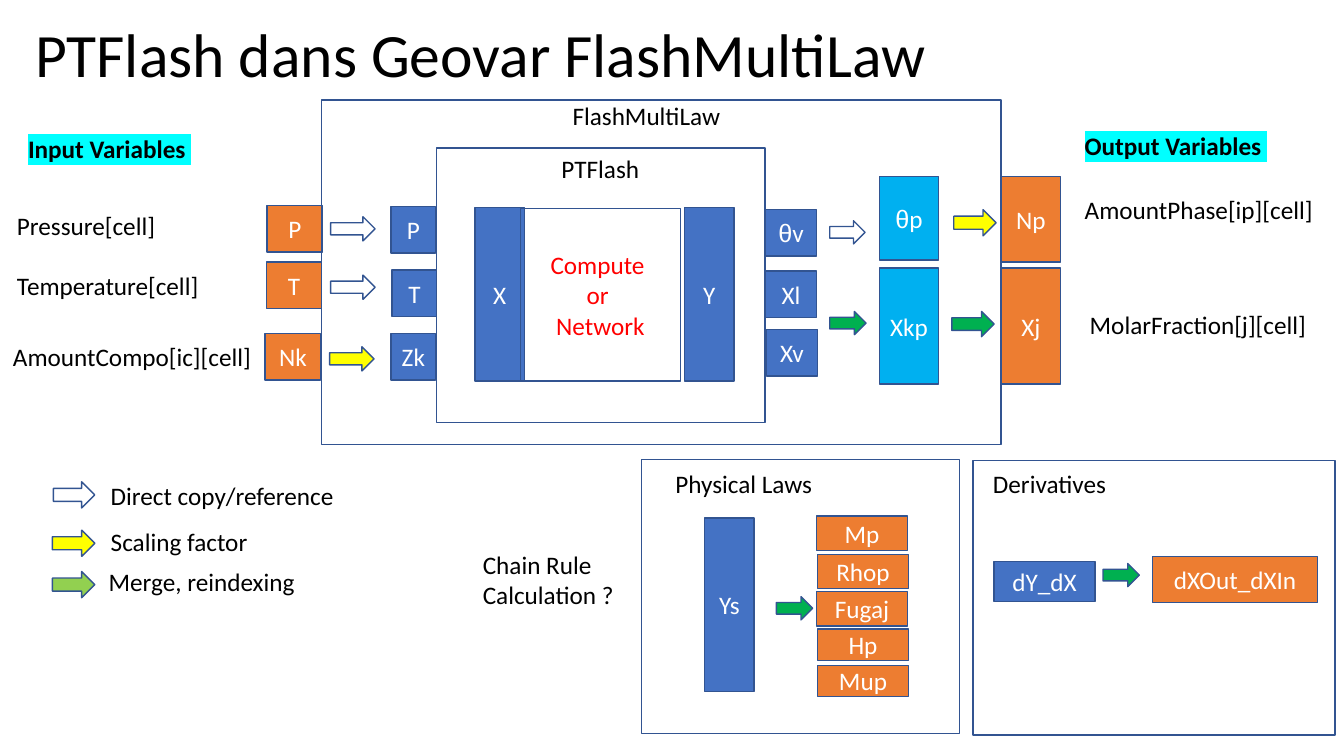
from lxml.etree import Element, SubElement
from pptx import Presentation
from pptx.dml.color import RGBColor
from pptx.enum.shapes import MSO_SHAPE
from pptx.enum.text import MSO_ANCHOR, PP_ALIGN
from pptx.oxml.ns import qn
from pptx.util import Inches, Pt

COLORS = {
    "blue": "4472C4", "orange": "ED7D31", "sky": "00B0F0", "yellow": "FFFF00",
    "green": "00B050", "lime": "92D050", "outline": "325491", "red": "FF0000",
    "black": "000000", "white": "FFFFFF", "cyan": "00FFFF",
}

deck = Presentation()
deck.slide_width, deck.slide_height = Inches(13.33), Inches(7.5)
page = deck.slides.add_slide(deck.slide_layouts[6])


def write(frame, text, color="black", size=18, align=PP_ALIGN.LEFT, bold=None, highlight=None):
    """Fill a text frame, one paragraph per line; Greek theta is set in Arial."""
    for index, line in enumerate(text.split("\n")):
        para = frame.paragraphs[0] if index == 0 else frame.add_paragraph()
        para.alignment = align
        pieces = [line[0], line[1:]] if line.startswith("θ") else [line]
        for piece in pieces:
            span = para.add_run()
            span.text = piece
            span.font.size = Pt(size)
            span.font.bold = bold
            span.font.name = "Arial" if piece == "θ" else "Calibri"
            span.font.color.rgb = RGBColor.from_string(COLORS[color])
            if highlight:
                marker = Element(qn("a:highlight"))
                SubElement(marker, qn("a:srgbClr"), val=COLORS[highlight])
                span.font._element.find(qn("a:solidFill")).addnext(marker)


def add_block(kind, left, top, width, height, fill=None, text="", color="white"):
    block = page.shapes.add_shape(kind, Inches(left), Inches(top), Inches(width), Inches(height))
    block.shadow.inherit = False
    block.line.color.rgb = RGBColor.from_string(COLORS["outline"])
    block.line.width = Pt(1)
    if fill:
        block.fill.solid()
        block.fill.fore_color.rgb = RGBColor.from_string(COLORS[fill])
    else:
        block.fill.background()
    if text:
        frame = block.text_frame
        frame.margin_left = frame.margin_right = 0
        frame.vertical_anchor = MSO_ANCHOR.MIDDLE
        write(frame, text, color, align=PP_ALIGN.CENTER)


# Title
title = page.shapes.add_textbox(Inches(0.25), Inches(0.06), Inches(9.66), Inches(1.02))
title.text_frame.word_wrap = True
title.text_frame.vertical_anchor = MSO_ANCHOR.MIDDLE
write(title.text_frame, "PTFlash dans Geovar FlashMultiLaw", size=44)
title.text_frame.paragraphs[0].line_spacing = 0.9

# Variables: left, top, width, height, fill, label
variables = [
    (2.65, 2.04, 0.55, 0.46, "orange", "P"),
    (2.64, 2.6, 0.55, 0.46, "orange", "T"),
    (2.63, 3.31, 0.55, 0.46, "orange", "Nk"),
    (3.88, 2.05, 0.44, 0.46, "blue", "P"),
    (3.89, 2.68, 0.44, 0.46, "blue", "T"),
    (3.88, 3.31, 0.44, 0.46, "blue", "Zk"),
    (4.71, 2.06, 0.49, 1.72, "blue", "X"),
    (6.79, 2.06, 0.49, 1.72, "blue", "Y"),
    (7.59, 2.08, 0.51, 0.46, "blue", "θv"),
    (7.59, 2.69, 0.51, 0.46, "blue", "Xl"),
    (7.6, 3.27, 0.51, 0.46, "blue", "Xv"),
    (8.72, 1.75, 0.59, 0.83, "sky", "θp"),
    (8.72, 2.66, 0.59, 1.15, "sky", "Xkp"),
    (9.93, 1.75, 0.59, 0.85, "orange", "Np"),
    (9.93, 2.66, 0.59, 1.15, "orange", "Xj"),
    (6.99, 5.14, 0.49, 1.72, "blue", "Ys"),
    (8.1, 5.12, 0.9, 0.34, "orange", "Mp"),
    (8.11, 5.5, 0.9, 0.34, "orange", "Rhop"),
    (8.1, 5.87, 0.9, 0.34, "orange", "Fugaj"),
    (8.11, 6.24, 0.9, 0.31, "orange", "Hp"),
    (8.11, 6.6, 0.9, 0.31, "orange", "Mup"),
    (9.86, 5.57, 1, 0.4, "blue", "dY_dX"),
    (11.43, 5.52, 1.64, 0.46, "orange", "dXOut_dXIn"),
]
for variable in variables:
    add_block(MSO_SHAPE.RECTANGLE, *variable)
add_block(MSO_SHAPE.RECTANGLE, 5.16, 2.07, 1.59, 1.71, None, "Compute \nor \nNetwork", "red")

# Arrows: left, top, width, height, fill
arrows = [
    (3.28, 2.15, 0.44, 0.24, None),
    (3.28, 2.73, 0.44, 0.24, None),
    (3.27, 3.44, 0.44, 0.24, "yellow"),
    (8.23, 2.19, 0.35, 0.23, None),
    (8.23, 3.09, 0.36, 0.23, "green"),
    (9.46, 2.08, 0.42, 0.26, "yellow"),
    (9.44, 3.09, 0.42, 0.25, "green"),
    (7.7, 5.92, 0.36, 0.23, "green"),
    (10.94, 5.59, 0.36, 0.23, "green"),
    (0.53, 4.78, 0.41, 0.26, None),
    (0.52, 5.26, 0.42, 0.26, "yellow"),
    (0.52, 5.67, 0.42, 0.26, "lime"),
]
for arrow in arrows:
    add_block(MSO_SHAPE.RIGHT_ARROW, *arrow)

# Frames: FlashMultiLaw, PTFlash, Physical Laws, Derivatives
frames = [
    (3.19, 0.99, 6.74, 3.42),
    (4.33, 1.47, 3.26, 2.72),
    (6.36, 4.56, 3.16, 2.72),
    (9.65, 4.57, 3.59, 2.72),
]
for outline in frames:
    add_block(MSO_SHAPE.RECTANGLE, *outline)

# Labels: left, top, width, text
labels = [
    (5.58, 0.95, 1.68, "FlashMultiLaw"),
    (5.47, 1.47, 0.98, "PTFlash"),
    (6.6, 4.6, 1.57, "Physical Laws"),
    (9.75, 4.6, 1.39, "Derivatives"),
    (0.18, 1.27, 1.83, "Input Variables "),
    (0.07, 2.04, 1.59, "Pressure[cell]"),
    (0.07, 2.63, 2.02, "Temperature[cell]"),
    (0.03, 3.34, 2.59, "AmountCompo[ic][cell]"),
    (10.66, 1.24, 2.03, "Output Variables "),
    (10.66, 1.88, 2.49, "AmountPhase[ip][cell]"),
    (10.71, 3.02, 2.37, "MolarFraction[j][cell]"),
    (1, 4.72, 2.44, "Direct copy/reference"),
    (1, 5.17, 1.57, "Scaling factor"),
    (0.98, 5.57, 2.07, "Merge, reindexing"),
    (4.69, 5.4, 1.52, "Chain Rule\nCalculation ?"),
]
for left, top, width, text in labels:
    height = 0.71 if "\n" in text else 0.4
    box = page.shapes.add_textbox(Inches(left), Inches(top), Inches(width), Inches(height))
    box.text_frame.word_wrap = False
    heading = "Variables" in text
    write(box.text_frame, text, bold=heading, highlight="cyan" if heading else None)

deck.save("out.pptx")
